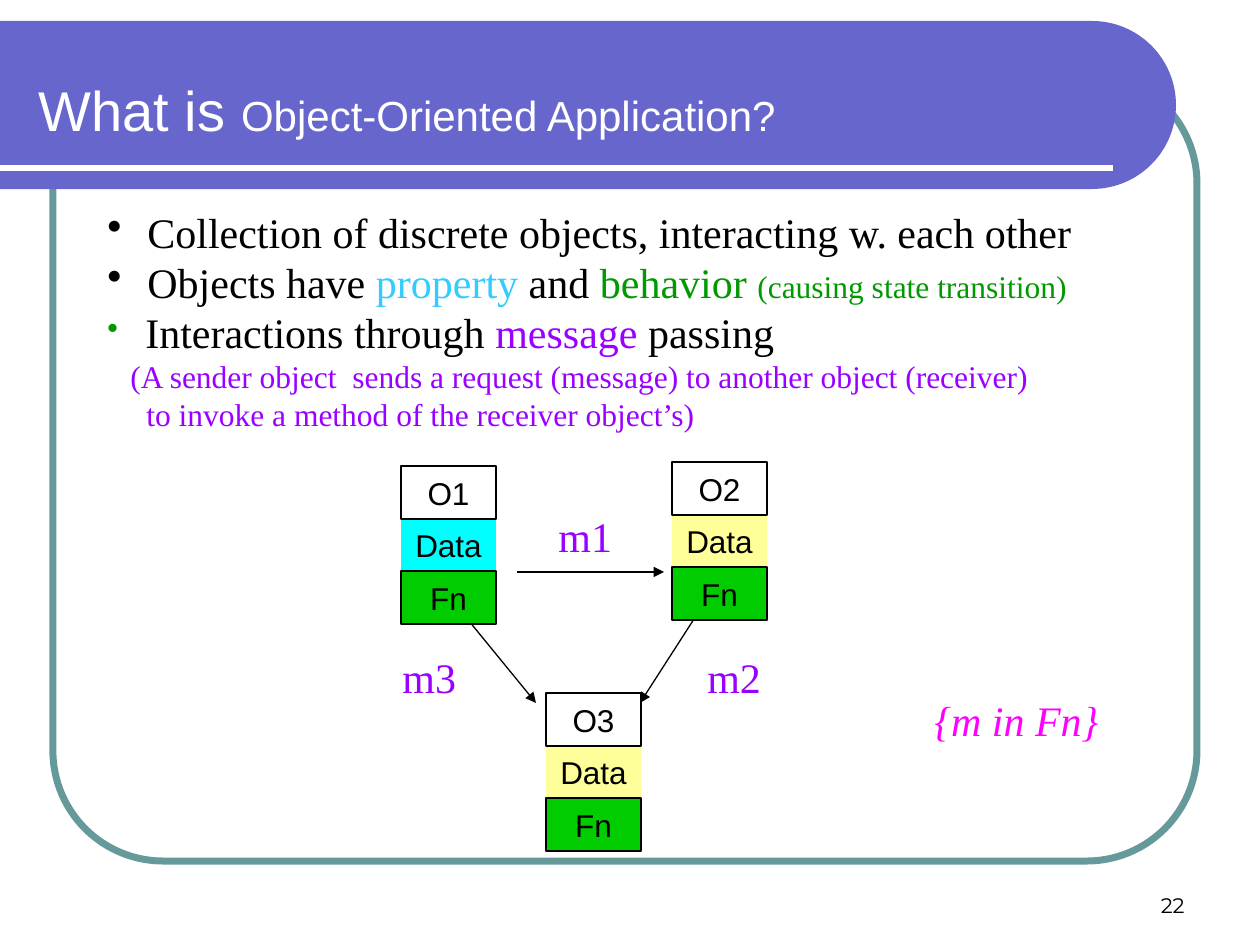
from math import cos, pi, sin

from lxml.etree import SubElement
from pptx import Presentation
from pptx.dml.color import RGBColor
from pptx.enum.shapes import MSO_CONNECTOR, MSO_SHAPE
from pptx.enum.text import MSO_ANCHOR, MSO_AUTO_SIZE, PP_ALIGN
from pptx.oxml.ns import qn
from pptx.util import Emu, Pt

SCALE = 914400 / 126  # EMU in one px
SANS, SERIF = "Arial", "Times New Roman"
COLORS = {
    "black": "000000", "white": "FFFFFF", "banner": "6666CC", "frame": "669999",
    "fn": "00CC00", "cyan": "00FFFF", "yellow": "FFFF99", "property": "33CCFF",
    "behavior": "009900", "message": "9900FF", "note": "FF00FF",
}


def px(*lengths):
    return [Emu(round(length * SCALE)) for length in lengths]


def rgb(name):
    return RGBColor.from_string(COLORS[name])


deck = Presentation()
deck.slide_width, deck.slide_height = px(1260, 945)
page = deck.slides.add_slide(deck.slide_layouts[5])
shapes = page.shapes

# Frame and banner behind the title
frame = shapes.add_shape(MSO_SHAPE.ROUNDED_RECTANGLE, *px(53, 73, 1144, 788))
frame.adjustments[0] = 0.14
frame.shadow.inherit = False
frame.fill.background()
frame.line.color.rgb = rgb("frame")
frame.line.width = Pt(4)

radius, center_x, center_y, steps = 84, 1092, 105, 60
angles = [pi * (step / steps - 0.5) for step in range(steps + 1)]
arc = [px(center_x + radius * cos(angle), center_y + radius * sin(angle)) for angle in angles]
outline = shapes.build_freeform(*px(0, center_y - radius))
outline.add_line_segments(arc + [px(0, center_y + radius)], close=True)
banner = outline.convert_to_shape()
banner.shadow.inherit = False
banner.fill.solid()
banner.fill.fore_color.rgb = rgb("banner")
banner.line.fill.background()

# Banner rule and message arrows: from x, from y, to x, to y, colour, points, arrowhead
lines = [
    (0, 168, 1113, 168, "white", 3, False),
    (517, 572, 664, 572, "black", 0.75, True),
    (451, 599, 536, 703, "black", 0.75, True),
    (714, 588, 640, 703, "black", 0.75, True),
]
for *ends, color, points, has_head in lines:
    line = shapes.add_connector(MSO_CONNECTOR.STRAIGHT, *px(*ends))
    line.line.color.rgb = rgb(color)
    line.line.width = Pt(points)
    if has_head:
        SubElement(line.line._get_or_add_ln(), qn("a:tailEnd"), type="triangle")
    SubElement(line.element.spPr, qn("a:effectLst"))

# Title, brought in front of the banner
title = shapes.title
banner.element.addnext(title.element)
title.left, title.top, title.width, title.height = px(26, 31, 1105, 118)
title.text_frame.auto_size = MSO_AUTO_SIZE.NONE
title.text_frame.vertical_anchor = MSO_ANCHOR.BOTTOM
para = title.text_frame.paragraphs[0]
para.alignment = PP_ALIGN.LEFT
for text, size in [("What is ", 32), ("Object-Oriented Application?", 24)]:
    span = para.add_run()
    span.text = text
    span.font.name, span.font.size = SANS, Pt(size)
    span.font.color.rgb = rgb("white")

# Body: bullet colour, bullet size in %, left margin, spans of text, colour and size
body = [
    ("black", 100, 40, [("Collection of discrete objects, interacting w. each other", "black", 24)]),
    ("black", 100, 40, [("Objects have ", "black", 24), ("property", "property", 24),
                        (" and ", "black", 24), ("behavior ", "behavior", 24),
                        ("(causing state transition)", "behavior", 18)]),
    ("behavior", 75, 38, [("Interactions through ", "black", 24), ("message", "message", 24),
                          (" passing", "black", 24)]),
    (None, 0, 23, [("(A sender object  sends a request (message) to another object (receiver)",
                    "message", 18)]),
    (None, 0, 39, [("to invoke a method of the receiver object’s)", "message", 18)]),
]
box = shapes.add_textbox(*px(95, 200, 1100, 240))
box.text_frame.word_wrap = True
for index, (bullet, bullet_size, margin, spans) in enumerate(body):
    para = box.text_frame.paragraphs[0] if index == 0 else box.text_frame.add_paragraph()
    para.font.name = SERIF
    settings = para._p.get_or_add_pPr()
    settings.set("marL", str(px(margin)[0]))
    if bullet:
        settings.set("indent", str(px(-margin)[0]))
        bullet_color = settings.makeelement(qn("a:buClr"), {})
        SubElement(bullet_color, qn("a:srgbClr"), val=COLORS[bullet])
        bullet_scale = settings.makeelement(qn("a:buSzPct"), {"val": str(bullet_size * 1000)})
        bullet_char = settings.makeelement(qn("a:buChar"), {"char": "•"})
        settings.insert(0, bullet_color)
        bullet_color.addnext(bullet_scale)
        bullet_scale.addnext(bullet_char)
    for text, color, size in spans:
        span = para.add_run()
        span.text = text
        span.font.name, span.font.size = SERIF, Pt(size)
        span.font.color.rgb = rgb(color)

# Objects: name, left, top, colour of the data cell
objects = [("O1", 401, 466, "cyan"), ("O2", 672, 462, "yellow"), ("O3", 546, 693, "yellow")]
cell_width = 95
for name, left, top, data_color in objects:
    cells = [("Fn", 105, 53, "fn", True), ("Data", 53, 51, data_color, False),
             (name, 0, 53, None, True)]
    for text, offset, height, fill, has_border in cells:
        cell = shapes.add_shape(MSO_SHAPE.RECTANGLE, *px(left, top + offset, cell_width, height))
        cell.shadow.inherit = False
        if fill:
            cell.fill.solid()
            cell.fill.fore_color.rgb = rgb(fill)
        else:
            cell.fill.background()
        if has_border:
            cell.line.color.rgb = rgb("black")
            cell.line.width = Pt(0.75)
        else:
            cell.line.fill.background()
        cell.text_frame.word_wrap = False
        cell.text_frame.vertical_anchor = MSO_ANCHOR.MIDDLE
        para = cell.text_frame.paragraphs[0]
        para.text = text
        para.alignment = PP_ALIGN.CENTER
        para.font.name, para.font.size = SANS, Pt(18)
        para.font.color.rgb = rgb("black")

# Message labels, note and page number
labels = [
    ("m1", 546, 504, 90, SERIF, 24, "message", PP_ALIGN.LEFT),
    ("m2", 695, 645, 90, SERIF, 24, "message", PP_ALIGN.LEFT),
    ("m3", 390, 645, 90, SERIF, 24, "message", PP_ALIGN.LEFT),
    ("{m in Fn}", 922, 688, 205, SERIF, 24, "note", PP_ALIGN.LEFT),
    ("22", 903, 861, 294, "Montserrat", 12, "black", PP_ALIGN.RIGHT),
]
for text, left, top, width, font, size, color, alignment in labels:
    label = shapes.add_textbox(*px(left, top, width, 63))
    label.text_frame.word_wrap = True
    if alignment == PP_ALIGN.RIGHT:
        label.text_frame.vertical_anchor = MSO_ANCHOR.BOTTOM
    para = label.text_frame.paragraphs[0]
    para.text = text
    para.alignment = alignment
    para.font.name, para.font.size = font, Pt(size)
    para.font.italic = color == "note"
    para.font.color.rgb = rgb(color)

deck.save("out.pptx")
